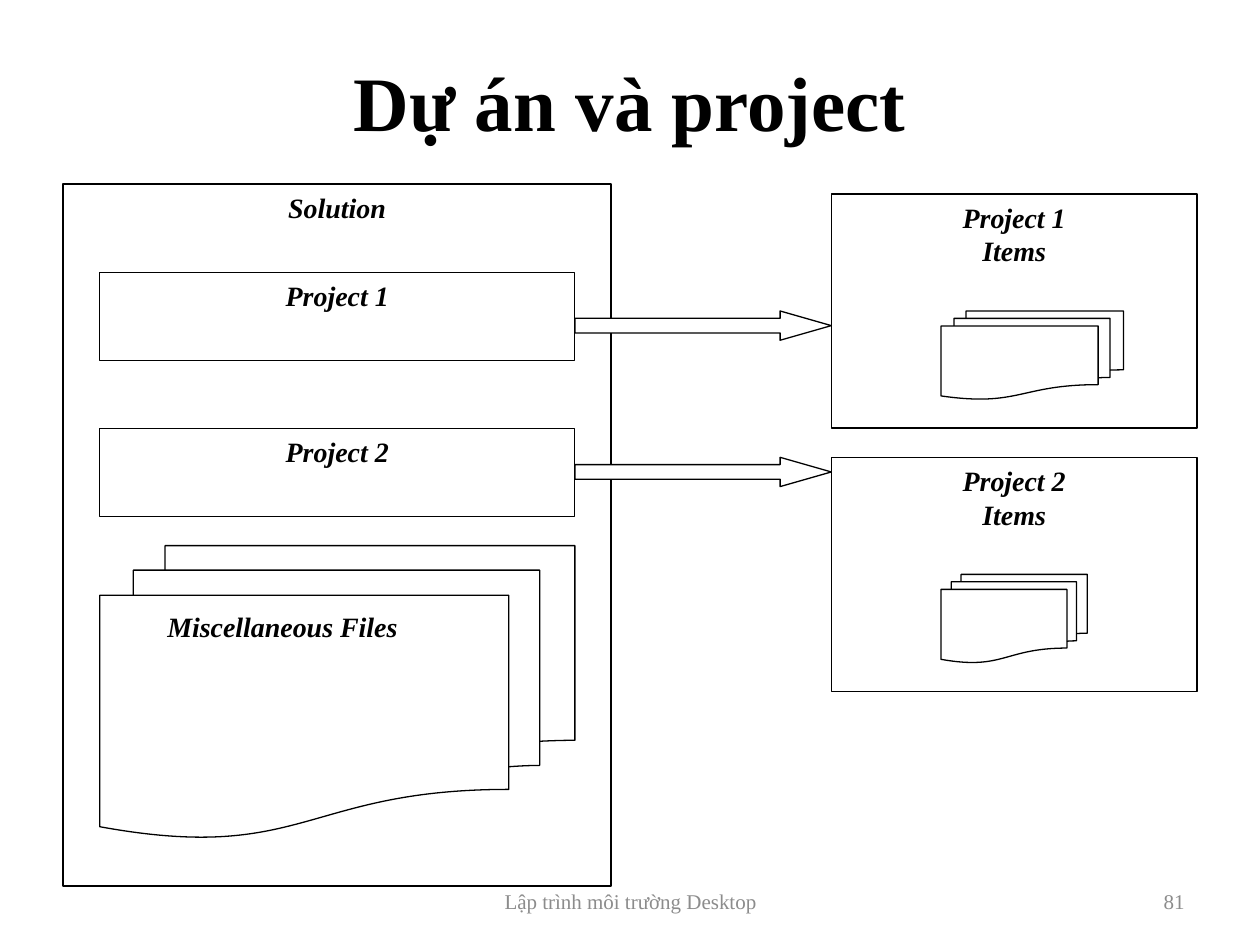
from pptx import Presentation
from pptx.dml.color import RGBColor
from pptx.enum.shapes import MSO_SHAPE
from pptx.enum.text import MSO_ANCHOR, PP_ALIGN
from pptx.util import Cm, Pt

FONT = "Times New Roman"
COLORS = {"ink": "000000", "paper": "FFFFFF", "footer": "8C8C8C"}

TITLE = "Dự án và project"
FOOTERS = [
    ("Lập trình môi trường Desktop", 8.69, 8.05, PP_ALIGN.CENTER),
    ("81", 18.21, 5.92, PP_ALIGN.RIGHT),
]
PROJECTS = [
    {"name": "Project 1", "top": 5.49, "items_top": 3.91, "docs_width": 3.68, "arrow_top": 6.27},
    {"name": "Project 2", "top": 8.64, "items_top": 9.22, "docs_width": 2.95, "arrow_top": 9.22},
]

PROJECT_LEFT, PROJECT_WIDTH = 2.01, 9.58
PROJECT_RIGHT = PROJECT_LEFT + PROJECT_WIDTH
ITEMS_LEFT, ITEMS_WIDTH, ITEMS_HEIGHT = 16.76, 7.37, 4.72
DOCS_DX, DOCS_DY, DOCS_HEIGHT = 2.21, 2.36, 1.78


def color(name):
    return RGBColor.from_string(COLORS[name])


def write(shape, lines, size=16, ink="ink", bold=True, italic=True,
          align=PP_ALIGN.CENTER, anchor=MSO_ANCHOR.TOP):
    tf = shape.text_frame
    tf.word_wrap = True
    tf.vertical_anchor = anchor
    for i, line in enumerate(lines):
        p = tf.add_paragraph() if i else tf.paragraphs[0]
        p.alignment = align
        r = p.add_run()
        r.text = line
        r.font.name = FONT
        r.font.size = Pt(size)
        r.font.bold = bold
        r.font.italic = italic
        r.font.color.rgb = color(ink)


def add_box(s, kind, left, top, width, height, lines=()):
    sp = s.shapes.add_shape(kind, Cm(left), Cm(top), Cm(width), Cm(height))
    sp.shadow.inherit = False
    sp.fill.solid()
    sp.fill.fore_color.rgb = color("paper")
    sp.line.color.rgb = color("ink")
    sp.line.width = Pt(0.75)
    write(sp, lines)
    return sp


def add_text(s, left, top, width, height, lines, **style):
    tb = s.shapes.add_textbox(Cm(left), Cm(top), Cm(width), Cm(height))
    write(tb, lines, **style)


def main():
    prs = Presentation()
    prs.slide_width, prs.slide_height = Cm(25.4), Cm(19.05)
    s = prs.slides.add_slide(prs.slide_layouts[5])

    title = s.shapes.title
    title.left, title.top, title.width, title.height = Cm(1.27), Cm(0.43), Cm(22.86), Cm(3.18)
    write(title, [TITLE], size=44, italic=False, anchor=MSO_ANCHOR.MIDDLE)

    for text, left, width, align in FOOTERS:
        add_text(s, left, 17.65, width, 1.02, [text], size=12, ink="footer",
                 bold=False, italic=False, align=align, anchor=MSO_ANCHOR.MIDDLE)

    add_box(s, MSO_SHAPE.RECTANGLE, 1.27, 3.71, 11.05, 14.15, ["Solution"])
    add_box(s, MSO_SHAPE.FLOWCHART_MULTIDOCUMENT, PROJECT_LEFT, 11, PROJECT_WIDTH, 5.89)
    add_text(s, PROJECT_LEFT, 12.17, 7.37, 2.36, ["Miscellaneous Files"])

    for project in PROJECTS:
        name, items_top = project["name"], project["items_top"]
        add_box(s, MSO_SHAPE.RECTANGLE, PROJECT_LEFT, project["top"], PROJECT_WIDTH, 1.78, [name])
        add_box(s, MSO_SHAPE.RECTANGLE, ITEMS_LEFT, items_top, ITEMS_WIDTH, ITEMS_HEIGHT,
                [name, "Items"])
        add_box(s, MSO_SHAPE.FLOWCHART_MULTIDOCUMENT, ITEMS_LEFT + DOCS_DX, items_top + DOCS_DY,
                project["docs_width"], DOCS_HEIGHT)
        arrow = add_box(s, MSO_SHAPE.RIGHT_ARROW, PROJECT_RIGHT, project["arrow_top"],
                        ITEMS_LEFT - PROJECT_RIGHT, 0.59)
        arrow.adjustments[0] = 0.5
        arrow.adjustments[1] = 1.75

    prs.save("out.pptx")


if __name__ == "__main__":
    main()
